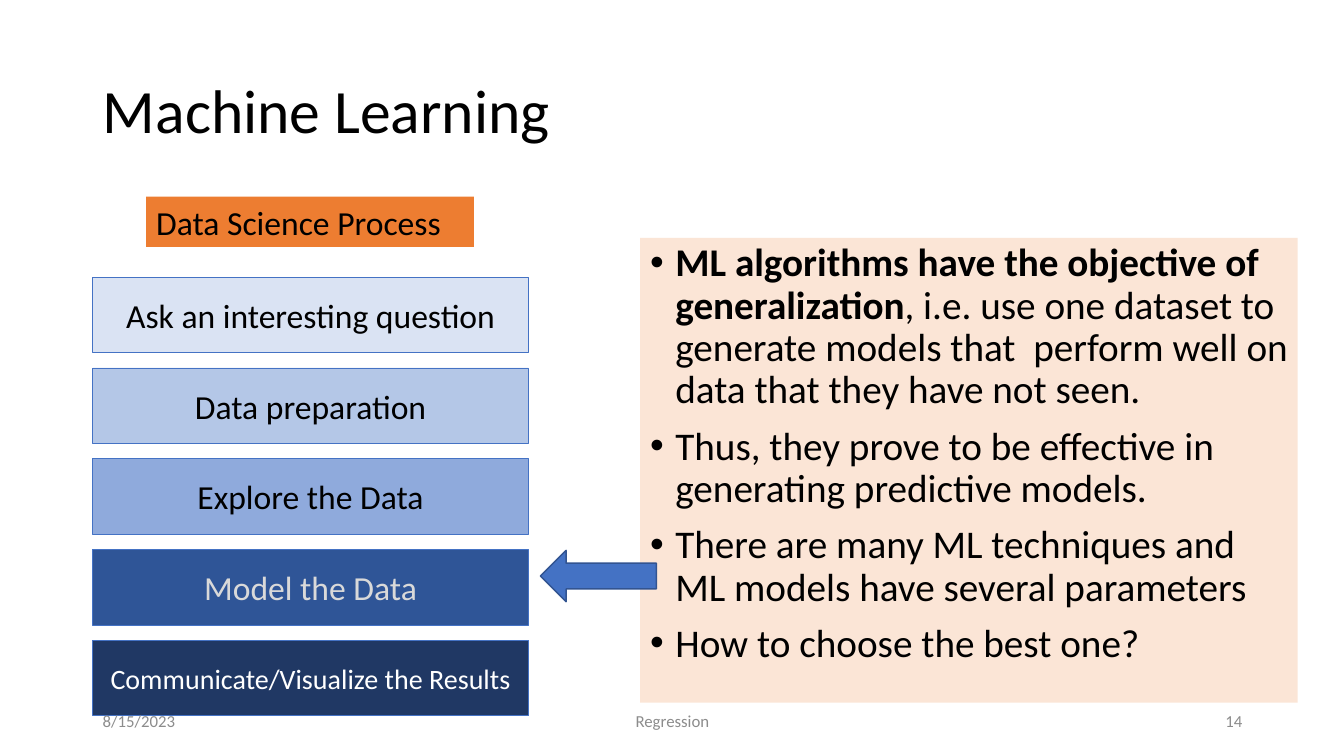
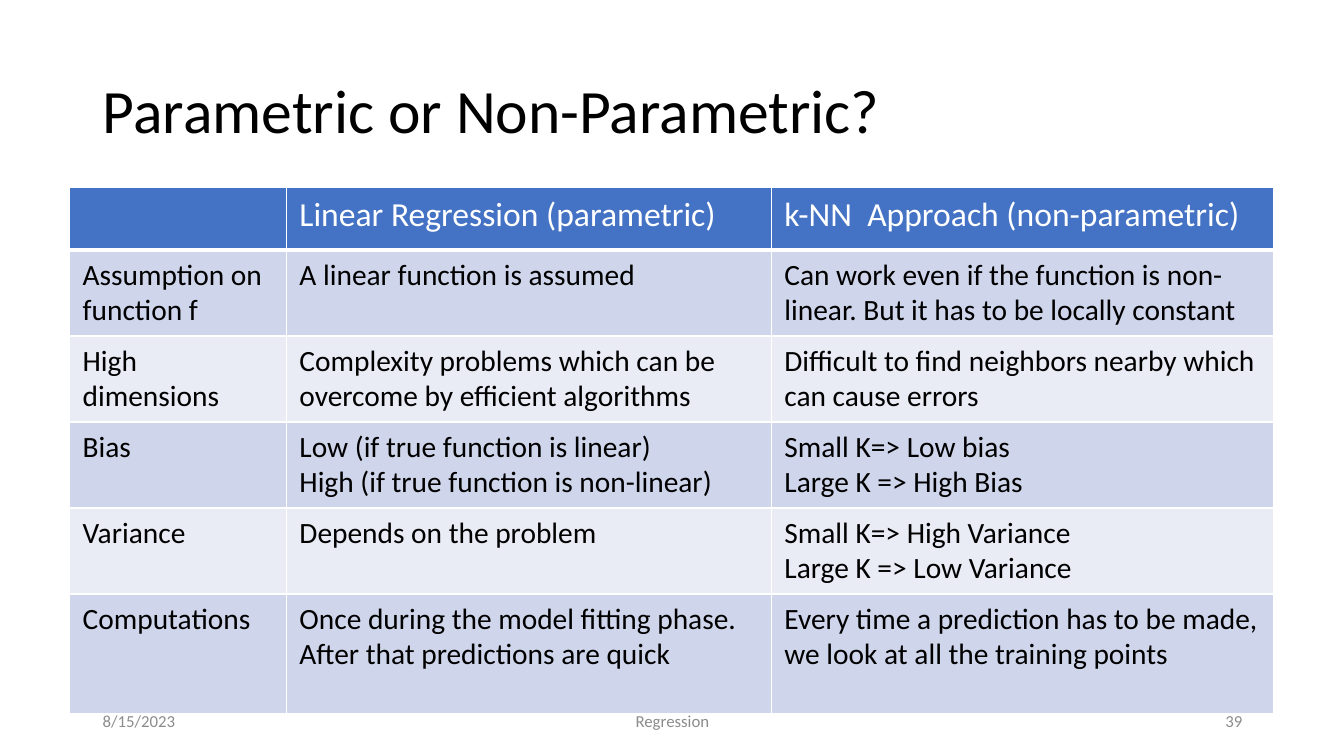
from pptx import Presentation
from pptx.dml.color import RGBColor
from pptx.enum import shapes, text
from pptx.oxml import ns
from pptx.util import Inches, Pt
from lxml import etree

FONT = "Calibri"
COLORS = {
    "ink": "000000",
    "white": "FFFFFF",
    "muted": "8C8C8C",
    "pale_text": "D9D9D9",
    "accent": "4472C4",
    "arrow_edge": "325491",
    "heading": "ED7D31",
    "panel": "FBE5D6",
    "step1": "DAE3F3",
    "step2": "B4C7E7",
    "step3": "8FAADC",
    "step4": "2F5597",
    "step5": "203864",
    "band_dark": "CFD5EA",
    "band_light": "E9EBF5",
}
LEFT, CENTER, RIGHT = text.PP_ALIGN.LEFT, text.PP_ALIGN.CENTER, text.PP_ALIGN.RIGHT
TOP, MIDDLE = text.MSO_ANCHOR.TOP, text.MSO_ANCHOR.MIDDLE

TITLE_BOX = (0.92, 0.4, 11.5, 1.45)
FOOTER_BOX = (0.92, 6.95, 11.5, 0.4)
DATE, TOPIC = "8/15/2023", "Regression"

STEPS = [
    ("Ask an interesting question", "step1", "ink", 24),
    ("Data preparation", "step2", "ink", 24),
    ("Explore the Data", "step3", "ink", 24),
    ("Model the Data", "step4", "pale_text", 24),
    ("Communicate/Visualize the Results", "step5", "white", 20),
]
ML_POINTS = [
    [("ML algorithms have the objective of generalization", True),
     (", i.e. use one dataset to generate models that  perform well "
      "on data that they have not seen.", False)],
    "Thus, they prove to be effective in generating predictive models.",
    "There are many ML techniques and ML models have several parameters",
    "How to choose the best one?",
]
COMPARISON = [
    ["", "Linear Regression (parametric)", "k-NN  Approach (non-parametric)"],
    ["Assumption on function f", "A linear function is assumed",
     "Can work even if the function is non-linear. But it has to be locally constant"],
    ["High dimensions", "Complexity problems which can be overcome by efficient algorithms",
     "Difficult to find neighbors nearby which can cause errors"],
    ["Bias", "Low (if true function is linear)\nHigh (if true function is non-linear)",
     "Small K=> Low bias\nLarge K => High Bias"],
    ["Variance", "Depends on the problem",
     "Small K=> High Variance\nLarge K => Low Variance"],
    ["Computations", "Once during the model fitting phase. After that predictions are quick",
     "Every time a prediction has to be made, we look at all the training points"],
]
COLUMN_WIDTHS = [2.15, 4.81, 4.98]
ROW_HEIGHTS = [0.62, 0.85, 0.84, 0.84, 0.84, 1.19]


def rgb(name):
    return RGBColor.from_string(COLORS[name])


def inches(box):
    return [Inches(length) for length in box]


def add_bullet(paragraph):
    properties = paragraph._p.get_or_add_pPr()
    properties.set("marL", str(Inches(0.25)))
    properties.set("indent", str(-Inches(0.25)))
    etree.SubElement(properties, ns.qn("a:buFont"), typeface="Arial")
    etree.SubElement(properties, ns.qn("a:buChar"), char="•")


def write(frame, paragraphs, size=24, color="ink", align=LEFT, anchor=TOP,
          wrap=True, spacing=None, before=0, bullet=False):
    frame.word_wrap = wrap
    frame.vertical_anchor = anchor
    for index, content in enumerate(paragraphs):
        paragraph = frame.paragraphs[0] if index == 0 else frame.add_paragraph()
        if bullet:
            add_bullet(paragraph)
        paragraph.alignment = align
        if spacing:
            paragraph.line_spacing = spacing
        if before and index:
            paragraph.space_before = Pt(before)
        runs = [(content, False)] if isinstance(content, str) else content
        for words, bold in runs:
            run = paragraph.add_run()
            run.text = words
            run.font.name = FONT
            run.font.size = Pt(size)
            run.font.bold = bold
            run.font.color.rgb = rgb(color)


def add_block(slide, box, fill, line=None, width=0.5,
              preset=shapes.MSO_SHAPE.RECTANGLE):
    block = slide.shapes.add_shape(preset, *inches(box))
    block.shadow.inherit = False
    block.fill.solid()
    block.fill.fore_color.rgb = rgb(fill)
    if line:
        block.line.color.rgb = rgb(line)
        block.line.width = Pt(width)
    else:
        block.line.fill.background()
    return block


def add_titled_slide(deck, title):
    slide = deck.slides.add_slide(deck.slide_layouts[5])
    heading = slide.shapes.title
    heading.left, heading.top, heading.width, heading.height = inches(TITLE_BOX)
    write(heading.text_frame, [title], size=44, anchor=MIDDLE, spacing=0.9)
    return slide


def add_footer(slide, box, number):
    left, top, width, height = box
    parts = [
        (DATE, 0, 3, LEFT),
        (TOPIC, (width - 4.5) / 2, 4.5, CENTER),
        (str(number), width - 3, 3, RIGHT),
    ]
    for words, offset, part_width, align in parts:
        part = slide.shapes.add_textbox(*inches((left + offset, top, part_width, height)))
        write(part.text_frame, [words], size=12, color="muted", align=align, anchor=MIDDLE)


def add_process(slide, box):
    left, top, width, height = box
    heading = add_block(slide, (left + 0.53, top, 3.25, 0.5), "heading")
    write(heading.text_frame, ["Data Science Process"])
    step_height, first_top = 0.75, top + 0.8
    pitch = (top + height - step_height - first_top) / (len(STEPS) - 1)
    for index, (words, fill, color, size) in enumerate(STEPS):
        step = add_block(slide, (left, first_top + index * pitch, width, step_height),
                         fill, "accent")
        write(step.text_frame, [words], size=size, color=color,
              align=CENTER, anchor=MIDDLE, wrap=False)


def add_points(slide, box):
    panel = add_block(slide, box, "panel")
    write(panel.text_frame, ML_POINTS, size=28, spacing=0.9, before=10, bullet=True)


def add_borders(cell, bottom=1):
    properties = cell._tc.get_or_add_tcPr()
    for side, width in (("L", 1), ("R", 1), ("T", 1), ("B", bottom)):
        edge = etree.SubElement(properties, ns.qn("a:ln" + side), w=str(Pt(width)))
        paint = etree.SubElement(edge, ns.qn("a:solidFill"))
        etree.SubElement(paint, ns.qn("a:srgbClr"), val=COLORS["white"])


def add_comparison(slide, box):
    frame = slide.shapes.add_table(len(COMPARISON), len(COLUMN_WIDTHS), *inches(box))
    table = frame.table
    for column, width in zip(table.columns, COLUMN_WIDTHS):
        column.width = Inches(width)
    for row, height in zip(table.rows, ROW_HEIGHTS):
        row.height = Inches(height)
    for row_index, entries in enumerate(COMPARISON):
        header = row_index == 0
        band = "accent" if header else ("band_light", "band_dark")[row_index % 2]
        for column_index, entry in enumerate(entries):
            cell = table.cell(row_index, column_index)
            cell.margin_left = cell.margin_right = Inches(0.13)
            cell.margin_top = cell.margin_bottom = Inches(0.07)
            add_borders(cell, bottom=3 if header else 1)
            cell.fill.solid()
            cell.fill.fore_color.rgb = rgb(band)
            if entry:
                write(cell.text_frame, entry.split("\n"), size=24 if header else 21,
                      color="white" if header else "ink")


def build_machine_learning(deck):
    slide = add_titled_slide(deck, "Machine Learning")
    add_points(slide, (6.35, 2.36, 6.52, 4.61))
    add_process(slide, (0.92, 1.95, 4.32, 5.15))
    add_block(slide, (5.36, 5.46, 1.15, 0.51), "accent", "arrow_edge", 1,
              shapes.MSO_SHAPE.LEFT_ARROW)
    add_footer(slide, FOOTER_BOX, 14)


def build_parametric(deck):
    slide = add_titled_slide(deck, "Parametric or Non-Parametric?")
    add_comparison(slide, (0.69, 1.86, sum(COLUMN_WIDTHS), sum(ROW_HEIGHTS)))
    add_footer(slide, FOOTER_BOX, 39)


def main():
    deck = Presentation()
    deck.slide_width, deck.slide_height = Inches(13.33), Inches(7.5)
    build_machine_learning(deck)
    build_parametric(deck)
    deck.save("out.pptx")


if __name__ == "__main__":
    main()
